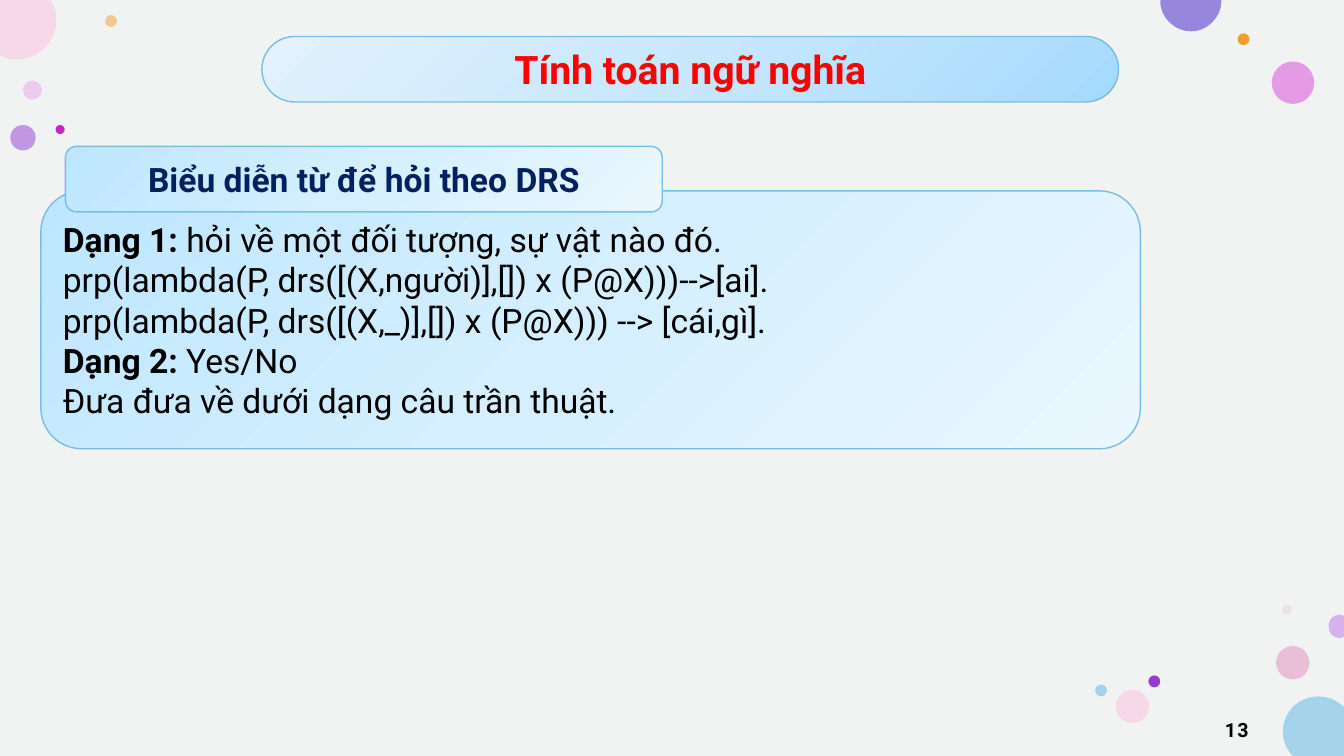
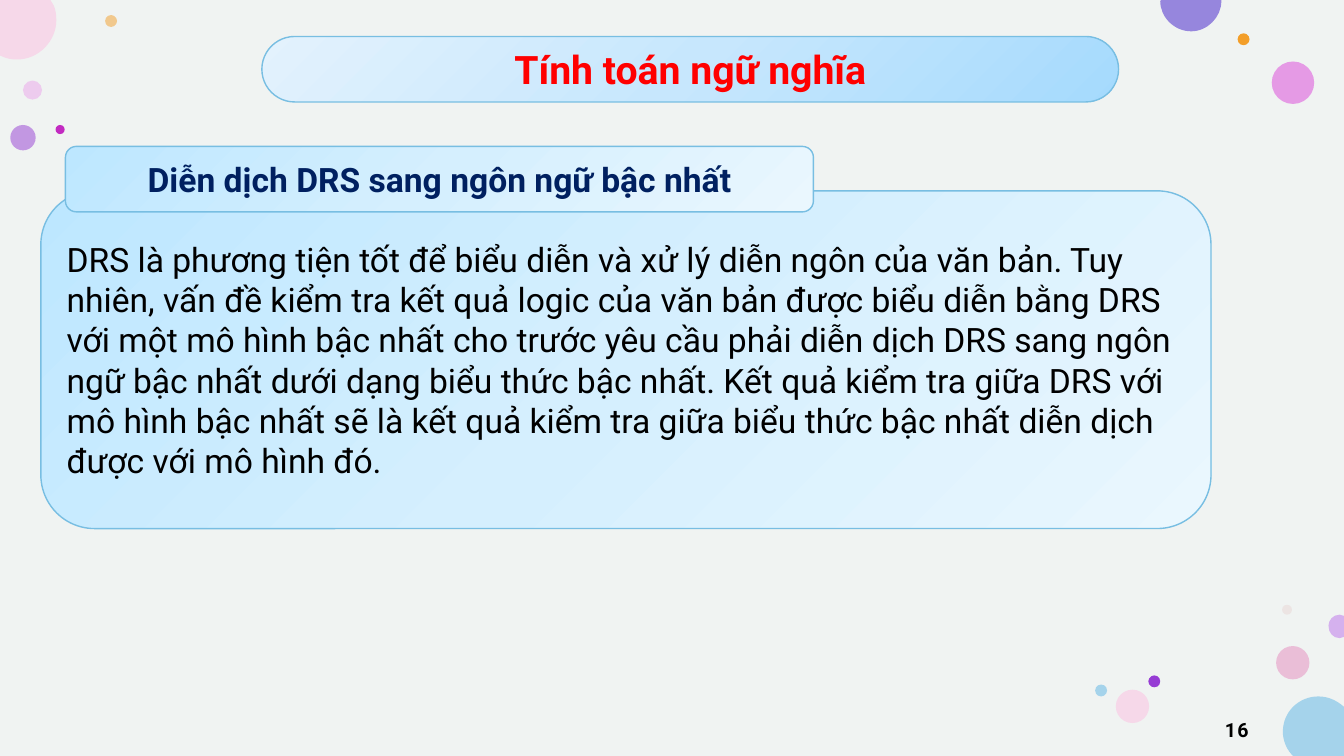
from pptx import Presentation
from pptx.dml.color import RGBColor
from pptx.enum import shapes, text
from pptx.oxml import parse_xml
from pptx.oxml.ns import nsdecls, qn
from pptx.util import Cm, Pt

FONT = "Roboto"
BACKGROUND = RGBColor(0xF0, 0xF3, 0xF2)
BLACK = RGBColor(0x00, 0x00, 0x00)
RED = RGBColor(0xFF, 0x00, 0x00)
NAVY = RGBColor(0x00, 0x20, 0x60)
OUTLINE = RGBColor(0x78, 0xBE, 0xE2)
ORANGE = RGBColor(0xF3, 0x9E, 0x29)
PURPLE = RGBColor(0x96, 0x3C, 0xD4)
PALE_PINK = RGBColor(0xF6, 0xD8, 0xE9)
SKY = RGBColor(0xA5, 0xD3, 0xEB)
ORCHID = RGBColor(0xEB, 0xA5, 0xEB)
ROSE = RGBColor(0xE5, 0x8A, 0xBE)
VIOLET_PINK = RGBColor(0xE2, 0x78, 0xE1)
DUST = RGBColor(0xE3, 0xBE, 0xBE)
MAGENTA = RGBColor(0xC2, 0x2A, 0xC1)
PERIWINKLE = RGBColor(0x96, 0x86, 0xDD)
LILAC = RGBColor(0xD5, 0xB1, 0xEE)
TITLE_STOPS = [RGBColor(0xA5, 0xDA, 0xFD), RGBColor(0xC7, 0xE7, 0xFD), RGBColor(0xE3, 0xF2, 0xFD)]
PANEL_STOPS = [RGBColor(0xBD, 0xE7, 0xFF), RGBColor(0xD5, 0xEF, 0xFE), RGBColor(0xEA, 0xF7, 0xFE)]

TITLE_DIRECTION = '<a:path path="circle"><a:fillToRect l="100000" t="100000"/></a:path>'
PANEL_DIRECTION = '<a:lin ang="2700000" scaled="0"/>'

SLIDE_WIDTH, SLIDE_HEIGHT = Cm(33.87), Cm(19.05)
TITLE = "Tính toán ngữ nghĩa"
TITLE_BOX = [Cm(value) for value in (6.6, 0.92, 21.59, 1.65)]

SLIDES = [
    {
        "number": "13",
        "heading": "Biểu diễn từ để hỏi theo DRS",
        "heading_width": 15.04,
        "panel_size": (27.71, 6.5),
        "body": [
            ("Dạng 1: ", "hỏi về một đối tượng, sự vật nào đó."),
            ("", "prp(lambda(P, drs([(X,người)],[]) x (P@X)))-->[ai]."),
            ("", "prp(lambda(P, drs([(X,_)],[]) x (P@X))) --> [cái,gì]."),
            ("Dạng 2:", " Yes/No"),
            ("", "Đưa đưa về dưới dạng câu trần thuật."),
        ],
    },
    {
        "number": "16",
        "heading": "Diễn dịch DRS sang ngôn ngữ bậc nhất",
        "heading_width": 18.85,
        "panel_size": (29.49, 8.51),
        "body": [
            ("", "DRS là phương tiện tốt để biểu diễn và xử lý diễn ngôn của văn bản. "
                 "Tuy nhiên, vấn đề kiểm tra kết quả logic của văn bản được biểu diễn bằng DRS "
                 "với một mô hình bậc nhất cho trước yêu cầu phải diễn dịch DRS sang ngôn ngữ "
                 "bậc nhất dưới dạng biểu thức bậc nhất. Kết quả kiểm tra giữa DRS với mô hình "
                 "bậc nhất sẽ là kết quả kiểm tra giữa biểu thức bậc nhất diễn dịch được với "
                 "mô hình đó."),
        ],
    },
]

DOTS = [
    (0.58, 2.03, 0.48, ORCHID, 50),
    (2.65, 0.38, 0.3, ORANGE, 50),
    (32.16, 16.28, 0.84, ROSE, 50),
    (0.26, 3.15, 0.64, PURPLE, 50),
    (32.05, 1.55, 1.07, VIOLET_PINK, 72),
    (31.19, 0.84, 0.3, ORANGE, 100),
    (32.31, 15.24, 0.25, DUST, 28),
    (28.94, 17.02, 0.3, PURPLE, 100),
    (28.12, 17.38, 0.84, PALE_PINK, 100),
    (27.6, 17.25, 0.3, SKY, 100),
    (1.4, 3.15, 0.23, MAGENTA, 100),
]

EDGE_DOTS = [
    (SKY, (33.22, 17.55), [
        [(33.48, 17.55), (33.68, 17.65), (33.87, 17.81)],
        [(33.87, 19.05)], [(32.59, 19.05)], [(32.54, 19.0)],
        [(32.41, 18.85), (32.33, 18.64), (32.33, 18.44)],
        [(32.33, 17.93), (32.74, 17.55), (33.22, 17.55)]]),
    (PALE_PINK, (0, 0), [
        [(1.27, 0)], [(1.35, 0.13)],
        [(1.4, 0.23), (1.42, 0.36), (1.42, 0.51)],
        [(1.42, 1.04), (0.97, 1.5), (0.43, 1.5)],
        [(0.28, 1.5), (0.15, 1.47), (0.05, 1.42)], [(0, 1.4)]]),
    (PERIWINKLE, (29.26, 0), [
        [(30.78, 0)], [(30.78, 0.03)],
        [(30.78, 0.43), (30.43, 0.79), (30.02, 0.79)],
        [(29.59, 0.79), (29.24, 0.43), (29.24, 0.03)]]),
    (LILAC, (33.76, 15.49), [
        [(33.87, 15.52)], [(33.87, 16.05)], [(33.76, 16.08)],
        [(33.6, 16.08), (33.48, 15.95), (33.48, 15.77)],
        [(33.48, 15.62), (33.6, 15.49), (33.76, 15.49)]]),
]


def paint(shape, colour, opacity=100):
    shape.shadow.inherit = False
    shape.line.fill.background()
    shape.fill.solid()
    shape.fill.fore_color.rgb = colour
    if opacity < 100:
        fill_colour = next(shape.element.spPr.iter(qn("a:srgbClr")))
        fill_colour.append(parse_xml(f'<a:alpha {nsdecls("a")} val="{opacity * 1000}"/>'))


def add_curved_outline(slide, start, segments):
    builder = slide.shapes.build_freeform(Cm(start[0]), Cm(start[1]))
    builder.add_line_segments([(Cm(segment[-1][0]), Cm(segment[-1][1])) for segment in segments], close=True)
    shape = builder.convert_to_shape()
    lines = list(shape.element.spPr.iter(qn("a:lnTo")))
    for line, segment in zip(lines, segments):
        if len(segment) == 3:
            points = "".join(
                f'<a:pt x="{Cm(x) - shape.left}" y="{Cm(y) - shape.top}"/>' for x, y in segment
            )
            curve = parse_xml(f'<a:cubicBezTo {nsdecls("a")}>{points}</a:cubicBezTo>')
            line.getparent().replace(line, curve)
    return shape


def decorate_layout(layout, slide):
    backdrop = slide.shapes.add_shape(shapes.MSO_SHAPE.RECTANGLE, 0, 0, SLIDE_WIDTH, SLIDE_HEIGHT)
    paint(backdrop, BACKGROUND)
    parts = [backdrop]
    for left, top, diameter, colour, opacity in DOTS:
        dot = slide.shapes.add_shape(shapes.MSO_SHAPE.OVAL, Cm(left), Cm(top), Cm(diameter), Cm(diameter))
        paint(dot, colour, opacity)
        parts.append(dot)
    for colour, start, segments in EDGE_DOTS:
        dot = add_curved_outline(slide, start, segments)
        paint(dot, colour)
        parts.append(dot)
    band = slide.shapes.add_shape(shapes.MSO_SHAPE.ROUNDED_RECTANGLE, *TITLE_BOX)
    style_panel(band, 0.5, TITLE_STOPS, TITLE_DIRECTION)
    parts.append(band)
    for part in parts:
        layout.shapes.element.append(part.element)


def place(shape, left, top, width, height):
    shape.left, shape.top, shape.width, shape.height = left, top, width, height


def prepare_frame(frame):
    frame.word_wrap = True
    frame.auto_size = text.MSO_AUTO_SIZE.NONE
    frame.vertical_anchor = text.MSO_ANCHOR.MIDDLE


def style_panel(shape, rounding, stops, direction):
    properties = shape.element.spPr
    if properties.find(qn("a:prstGeom")) is None:
        properties.insert(1, parse_xml(f'<a:prstGeom {nsdecls("a")} prst="roundRect"><a:avLst/></a:prstGeom>'))
    shape.adjustments[0] = rounding
    shape.fill.solid()
    stop_xml = "".join(
        f'<a:gs pos="{index * 50000}"><a:srgbClr val="{colour}"/></a:gs>'
        for index, colour in enumerate(stops)
    )
    gradient = parse_xml(
        f'<a:gradFill {nsdecls("a")} rotWithShape="1"><a:gsLst>{stop_xml}</a:gsLst>{direction}</a:gradFill>'
    )
    properties.replace(properties.find(qn("a:solidFill")), gradient)
    shape.line.color.rgb = OUTLINE
    shape.line.width = Pt(1)
    shape.shadow.inherit = False
    prepare_frame(shape.text_frame)


def style_run(run, size, colour, bold):
    run.font.name = FONT
    run.font.size = Pt(size)
    run.font.color.rgb = colour
    run.font.bold = bold


def set_line(shape, words, size, colour, alignment):
    shape.text_frame.text = words
    paragraph = shape.text_frame.paragraphs[0]
    paragraph.alignment = alignment
    style_run(paragraph.runs[0], size, colour, True)
    return paragraph.runs[0]


def fill_body(frame, lines):
    for index, (lead, rest) in enumerate(lines):
        paragraph = frame.add_paragraph() if index else frame.paragraphs[0]
        paragraph.alignment = text.PP_ALIGN.LEFT
        paragraph.space_before = Pt(0)
        paragraph.line_spacing = 1.0
        properties = paragraph._p.get_or_add_pPr()
        properties.set("marL", "0")
        properties.set("indent", "0")
        properties.append(parse_xml(f'<a:buNone {nsdecls("a")}/>'))
        for words, bold in ((lead, True), (rest, False)):
            if words:
                run = paragraph.add_run()
                run.text = words
                style_run(run, 24, BLACK, bold)


def add_number(slide, number):
    box = slide.shapes.add_textbox(Cm(24.15), Cm(18.02), Cm(7.62), Cm(0.66))
    frame = box.text_frame
    prepare_frame(frame)
    frame.margin_left = frame.margin_top = frame.margin_right = Cm(0.3)
    frame.margin_bottom = Cm(0.25)
    run = set_line(box, number, 14, BLACK, text.PP_ALIGN.RIGHT)
    run.font._element.set("spc", "100")


def fill_slide(slide, content):
    title = slide.shapes.title
    place(title, *TITLE_BOX)
    prepare_frame(title.text_frame)
    set_line(title, TITLE, 28, RED, text.PP_ALIGN.CENTER)

    body = slide.placeholders[1]
    panel_width, panel_height = content["panel_size"]
    place(body, Cm(1.03), Cm(4.81), Cm(panel_width), Cm(panel_height))
    style_panel(body, 0.159, PANEL_STOPS, PANEL_DIRECTION)
    fill_body(body.text_frame, content["body"])

    heading = slide.shapes.add_shape(
        shapes.MSO_SHAPE.ROUNDED_RECTANGLE, Cm(1.65), Cm(3.69), Cm(content["heading_width"]), Cm(1.65)
    )
    style_panel(heading, 0.167, PANEL_STOPS, PANEL_DIRECTION)
    set_line(heading, content["heading"], 24, NAVY, text.PP_ALIGN.CENTER)
    add_number(slide, content["number"])


def main():
    presentation = Presentation()
    presentation.slide_width, presentation.slide_height = SLIDE_WIDTH, SLIDE_HEIGHT
    layout = presentation.slide_layouts[1]
    for index, content in enumerate(SLIDES):
        slide = presentation.slides.add_slide(layout)
        if index == 0:
            decorate_layout(layout, slide)
        fill_slide(slide, content)
    presentation.save("out.pptx")


if __name__ == "__main__":
    main()
